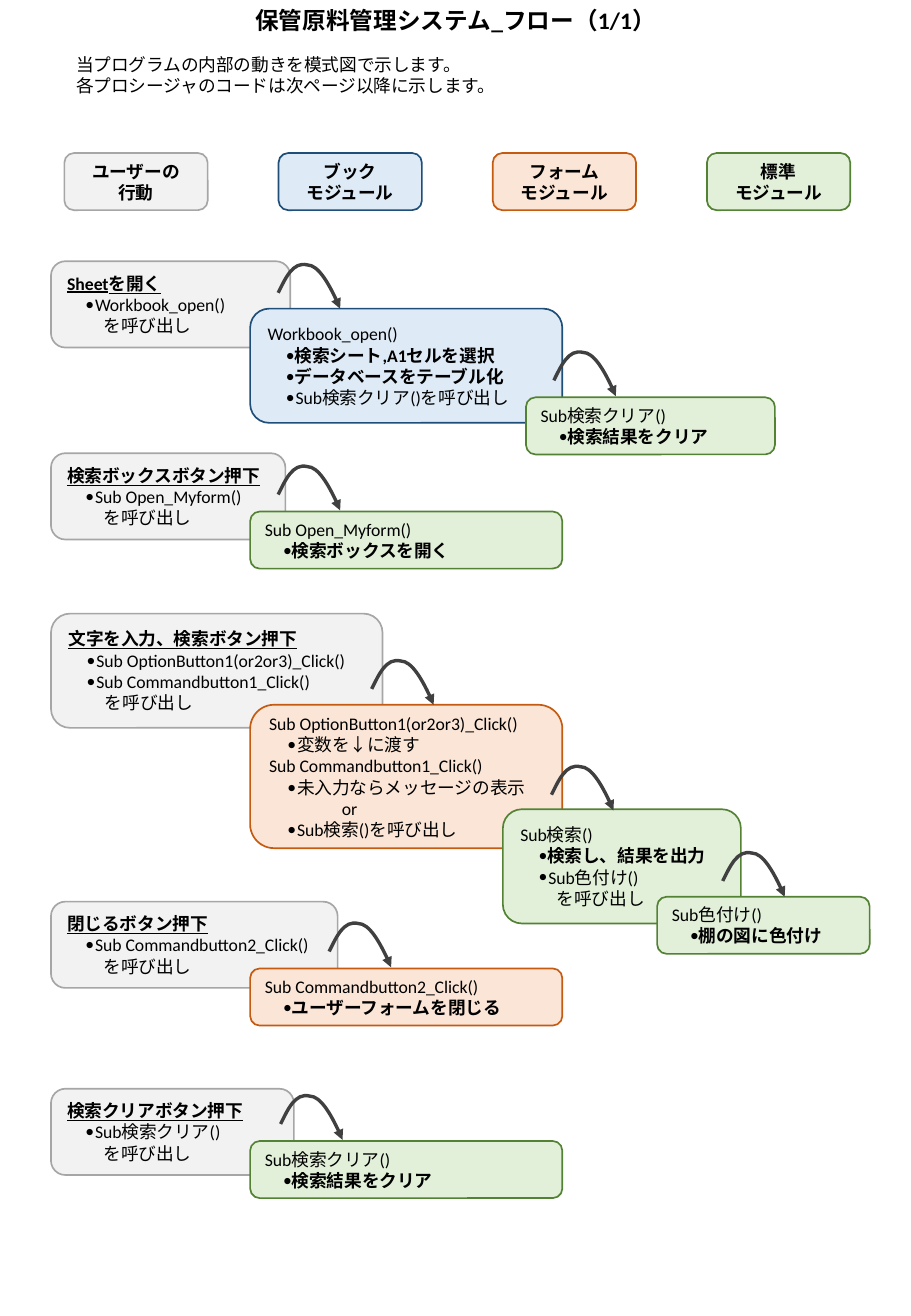
from dataclasses import dataclass
from typing import Any, NamedTuple

from lxml.etree import SubElement
from pptx import Presentation
from pptx.dml.color import RGBColor
from pptx.enum.shapes import MSO_SHAPE as Shape
from pptx.enum.text import MSO_ANCHOR as Anchor, MSO_AUTO_SIZE as Fit, PP_ALIGN as Align
from pptx.oxml.ns import qn
from pptx.util import Inches, Pt


class Tint(NamedTuple):
    """Fill and edge colours of a kind of module."""
    fill: str
    edge: str


class Kind(NamedTuple):
    """Indent, bullet and font of a kind of line."""
    left: float = 0
    mark: str = ""
    bold: bool = False
    under: bool = False


@dataclass
class Box:
    """A step of the flow."""
    left: float
    top: float
    width: float
    height: float
    tint: Tint
    lines: list[tuple[Kind, str]]


USER = Tint("F2F2F2", "A6A6A6")
BOOK = Tint("DEEBF7", "1F4E79")
FORM = Tint("FBE5D6", "C55A11")
CODE = Tint("E2F0D9", "548235")

FONT = "Calibri"
PLAIN = Kind()
LABEL = Kind(bold=True)
HEAD = Kind(bold=True, under=True)
CALL = Kind(0.23, "•")
TASK = Kind(0.22, "•", bold=True)
MORE = Kind(0.3)
OR = Kind(0.6)

MARK_X = 0.15
LOW, MID, HIGH = 0.47, 0.71, 0.94
USER_X, STEP_X, STEP_W = 0.42, 2.06, 2.57
KEY_X, KEY_END, KEY_Y, KEY_W = 0.53, 5.82, 1.26, 1.18

KEYS = [(USER, "ユーザーの", "行動"), (BOOK, "ブック", "モジュール"),
        (FORM, "フォーム", "モジュール"), (CODE, "標準", "モジュール")]


def user(top: float, width: float, head: str, *calls: str) -> Box:
    """Describe a user action and the calls it makes."""
    lines = [(HEAD, head), *((CALL, call) for call in calls), (MORE, "を呼び出し")]
    return Box(USER_X, top, width, MID if len(calls) == 1 else HIGH, USER, lines)


def task(left: float, top: float, width: float, tint: Tint, name: str, job: str) -> Box:
    """Describe a procedure that does one job."""
    return Box(left, top, width, LOW, tint, [(PLAIN, name), (TASK, job)])


STEPS = [
    user(2.15, 1.97, "Sheetを開く", "Workbook_open()"),
    Box(STEP_X, 2.54, STEP_W, HIGH, BOOK, [
        (PLAIN, "Workbook_open()"), (TASK, "検索シート,A1セルを選択"),
        (TASK, "データベースをテーブル化"), (CALL, "Sub検索クリア()を呼び出し")]),
    task(4.33, 3.27, 2.05, CODE, "Sub検索クリア()", "検索結果をクリア"),
    user(3.73, 1.93, "検索ボックスボタン押下", "Sub Open_Myform()"),
    task(STEP_X, 4.21, STEP_W, CODE, "Sub Open_Myform()", "検索ボックスを開く"),
    user(5.05, 2.73, "文字を入力、検索ボタン押下",
         "Sub OptionButton1(or2or3)_Click()", "Sub Commandbutton1_Click()"),
    Box(STEP_X, 5.8, STEP_W, 1.18, FORM, [
        (PLAIN, "Sub OptionButton1(or2or3)_Click()"), (CALL, "変数を↓に渡す"),
        (PLAIN, "Sub Commandbutton1_Click()"), (CALL, "未入力ならメッセージの表示"),
        (OR, "or"), (CALL, "Sub検索()を呼び出し")]),
    Box(4.14, 6.66, 1.96, HIGH, CODE, [
        (PLAIN, "Sub検索()"), (TASK, "検索し、結果を出力"),
        (CALL, "Sub色付け()"), (MORE, "を呼び出し")]),
    task(5.41, 7.38, 1.75, CODE, "Sub色付け()", "棚の図に色付け"),
    user(7.42, 2.36, "閉じるボタン押下", "Sub Commandbutton2_Click()"),
    task(STEP_X, 7.97, STEP_W, FORM, "Sub Commandbutton2_Click()", "ユーザーフォームを閉じる"),
    user(8.96, 2, "検索クリアボタン押下", "Sub検索クリア()"),
    task(STEP_X, 9.39, STEP_W, CODE, "Sub検索クリア()", "検索結果をクリア"),
]

HOPS = [(2.29, 2.18), (4.56, 2.9), (2.29, 3.84), (3.06, 5.44),
        (4.54, 6.31), (5.95, 7.02), (2.71, 7.6), (2.31, 9.02)]
# Start, then control, control and end of each curve, in hundredths of an inch
ARC = [(0, 23), (6, 11), (12, -3), (24, 0), (33, 0), (45, 21), (51, 36)]


def style(item: Any, **values: Any) -> None:
    """Set each named attribute of an item."""
    for name, value in values.items():
        setattr(item, name, value)


def paint(part: Any, tone: str) -> None:
    """Give a fill or a font a solid colour."""
    if hasattr(part, "solid"):
        part.solid()
        part.fore_color.rgb = RGBColor.from_string(tone)
    else:
        part.color.rgb = RGBColor.from_string(tone)


def write(frame: Any, lines: list[tuple[Kind, str]], align: Any = Align.LEFT,
          size: float = 10.5) -> None:
    """Fill a text frame with one paragraph a line."""
    for i, (kind, text) in enumerate(lines):
        para = frame.add_paragraph() if i else frame.paragraphs[0]
        para.alignment = align
        if kind.left:
            props = para._p.get_or_add_pPr()
            props.set("marL", str(Inches(kind.left)))
            props.set("indent", str(Inches(MARK_X - kind.left if kind.mark else 0)))
            if kind.mark:
                SubElement(props, qn("a:buFont"), typeface=FONT)
                SubElement(props, qn("a:buChar"), char=kind.mark)
        run = para.add_run()
        run.text = text
        style(run.font, name=FONT, size=Pt(size), bold=kind.bold, underline=kind.under)
        paint(run.font, "000000")


def draw(shapes: Any, box: Box, align: Any = Align.LEFT) -> None:
    """Draw a rounded box with its lines."""
    shape = shapes.add_shape(Shape.ROUNDED_RECTANGLE, *map(
        Inches, (box.left, box.top, box.width, box.height)))
    shape.shadow.inherit = False
    paint(shape.fill, box.tint.fill)
    paint(shape.line, box.tint.edge)
    shape.line.width = Pt(1)
    style(shape.text_frame, word_wrap=True, vertical_anchor=Anchor.MIDDLE)
    write(shape.text_frame, box.lines, align)


def hop(shapes: Any, left: float, top: float) -> None:
    """Draw a curved arrow from a step to the one it calls."""
    pen = shapes.build_freeform(*ARC[0], scale=Inches(0.01))
    pen.add_line_segments(ARC[1:], close=False)
    shape = pen.convert_to_shape(Inches(left), Inches(top))
    shape.shadow.inherit = False
    shape.fill.background()
    paint(shape.line, "404040")
    shape.line.width = Pt(2)
    props = shape._element.spPr
    SubElement(props.find(qn("a:ln")), qn("a:tailEnd"), type="triangle")
    route = next(props.iter(qn("a:path")))
    legs = route.findall(qn("a:lnTo"))
    for i in range(0, len(legs), 3):
        curve = SubElement(route, qn("a:cubicBezTo"))
        for leg in legs[i:i + 3]:
            curve.append(leg[0])
            route.remove(leg)


def main() -> None:
    """Build the flow slide."""
    deck = Presentation()
    style(deck, slide_width=Inches(7.5), slide_height=Inches(10.83))
    shapes = deck.slides.add_slide(deck.slide_layouts[5]).shapes

    title = shapes.title
    style(title, left=Inches(1.85), top=Inches(0), width=Inches(3.8), height=Inches(0.34))
    style(title.text_frame, auto_size=Fit.NONE, word_wrap=False, vertical_anchor=Anchor.TOP)
    write(title.text_frame, [(LABEL, "保管原料管理システム_フロー（1/1）")], Align.CENTER, 14)

    intro = shapes.add_textbox(*map(Inches, (0.53, 0.39, 6.44, 0.45))).text_frame
    intro.word_wrap = True
    write(intro, [(PLAIN, "当プログラムの内部の動きを模式図で示します。"),
                  (PLAIN, "各プロシージャのコードは次ページ以降に示します。")])

    pitch = (KEY_END - KEY_X) / (len(KEYS) - 1)
    for i, (tint, *words) in enumerate(KEYS):
        lines = [(LABEL, word) for word in words]
        draw(shapes, Box(KEY_X + i * pitch, KEY_Y, KEY_W, LOW, tint, lines), Align.CENTER)
    for step in STEPS:
        draw(shapes, step)
    for spot in HOPS:
        hop(shapes, *spot)
    deck.save("out.pptx")


main()
